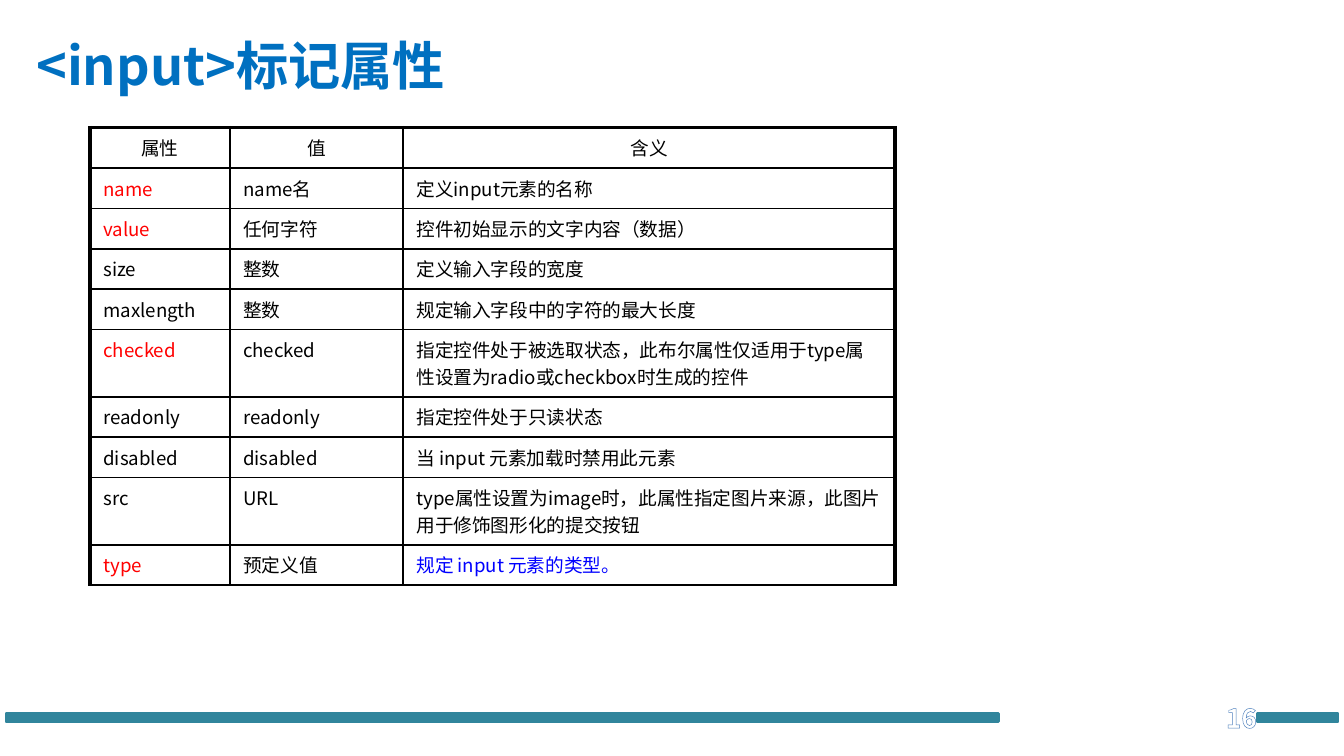
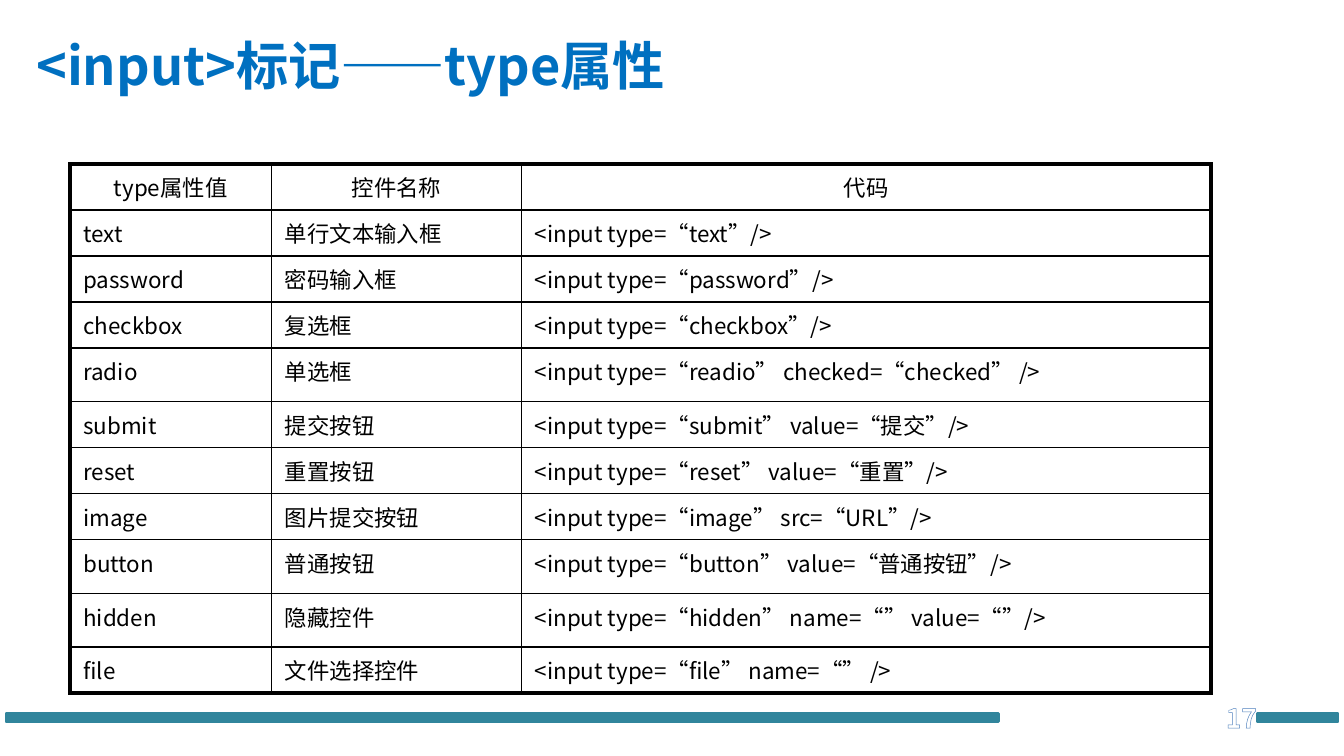
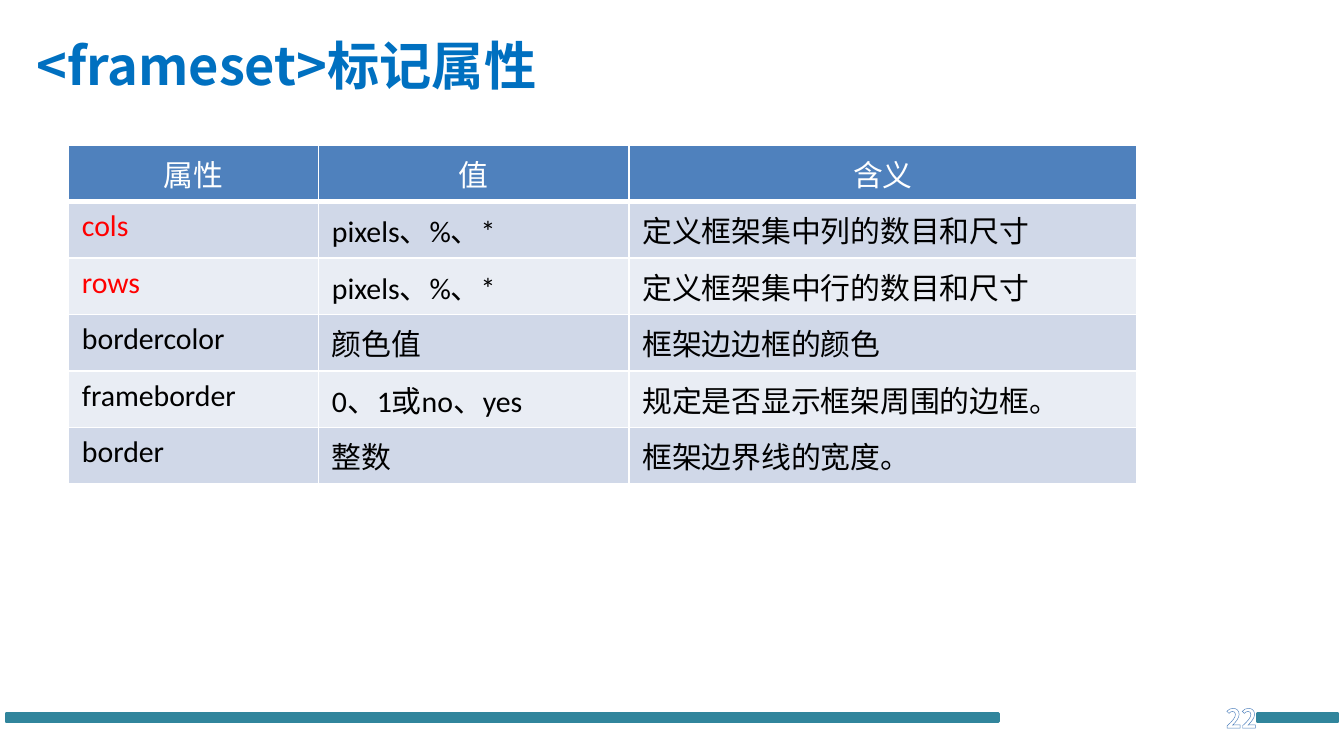
from dataclasses import dataclass, field

import pptx
import pptx.dml.color
import pptx.enum.shapes
import pptx.enum.text
import pptx.oxml
import pptx.oxml.ns
import pptx.util
from lxml import etree

EMU_PER_PX = 4572  # 200 px to the inch
CJK_FONT = "Noto Sans CJK SC"
LATIN_FONT = "Calibri"
TITLE_BLUE, HEADER_BLUE = "0070C0", "4F81BD"
BAND_DARK, BAND_LIGHT = "D0D8E8", "E9EDF4"
TEAL, RED, LINK_BLUE = "31859C", "FF0000", "0000FF"
BLACK, WHITE = "000000", "FFFFFF"
ALIGN = pptx.enum.text.PP_ALIGN
MIDDLE = pptx.enum.text.MSO_ANCHOR.MIDDLE


@dataclass(frozen=True)
class Box:
    left: int
    top: int
    width: int
    height: int

    def emu(self) -> list[int]:
        return [px(n) for n in (self.left, self.top, self.width, self.height)]


@dataclass(frozen=True)
class Edges:
    """Line widths in points of the table's outer sides and of the line under its header."""
    left: float = 2.25
    top: float = 2.25
    right: float = 2.25
    bottom: float = 2.25
    header: float = 1


@dataclass(frozen=True)
class TableSlide:
    title: str
    number: int
    left: int
    top: int
    columns: list[int]
    heights: list[int]
    rows: list[tuple[str, str, str]]
    size: int
    font: str = CJK_FONT
    edges: Edges = Edges()
    line: str = BLACK
    header_color: str = BLACK
    header_fill: str | None = None
    bands: tuple[str | None, str | None] = (None, None)
    accents: dict[tuple[int, int], str] = field(default_factory=dict)


TITLE_BOX = Box(34, 2, 1800, 188)
NUMBER_BOX = Box(1718, 1062, 172, 60)
FOOTER_BARS = [Box(10, 1062, 1476, 12), Box(1872, 1062, 118, 12)]

SLIDES = [
    TableSlide(
        "<input>标记属性", 16, 134, 190, [208, 258, 732],
        [54, 54, 54, 54, 60, 86, 54, 54, 86, 60],
        [
            ("属性", "值", "含义"),
            ("name", "name名", "定义input元素的名称"),
            ("value", "任何字符", "控件初始显示的文字内容（数据）"),
            ("size", "整数", "定义输入字段的宽度"),
            ("maxlength", "整数", "规定输入字段中的字符的最大长度"),
            ("checked", "checked",
             "指定控件处于被选取状态，此布尔属性仅适用于type属性设置为radio或checkbox时生成的控件"),
            ("readonly", "readonly", "指定控件处于只读状态"),
            ("disabled", "disabled", "当 input 元素加载时禁用此元素"),
            ("src", "URL",
             "type属性设置为image时，此属性指定图片来源，此图片用于修饰图形化的提交按钮"),
            ("type", "预定义值", "规定 input 元素的类型。"),
        ],
        size=10,
        edges=Edges(bottom=1),
        accents={(1, 0): RED, (2, 0): RED, (5, 0): RED, (9, 0): RED, (9, 2): LINK_BLUE},
    ),
    TableSlide(
        "<input>标记——type属性", 17, 104, 244, [300, 372, 1026],
        [60, 60, 60, 60, 80, 60, 60, 60, 80, 80, 60],
        [
            ("type属性值", "控件名称", "代码"),
            ("text", "单行文本输入框", "<input type=“text”/>"),
            ("password", "密码输入框", "<input type=“password”/>"),
            ("checkbox", "复选框", "<input type=“checkbox”/>"),
            ("radio", "单选框", "<input type=“readio” checked=“checked” />"),
            ("submit", "提交按钮", "<input type=“submit” value=“提交”/>"),
            ("reset", "重置按钮", "<input type=“reset” value=“重置”/>"),
            ("image", "图片提交按钮", "<input type=“image” src=“URL”/>"),
            ("button", "普通按钮", "<input type=“button” value=“普通按钮”/>"),
            ("hidden", "隐藏控件", "<input type=“hidden” name=“” value=“”/>"),
            ("file", "文件选择控件", "<input type=“file” name=“” />"),
        ],
        size=12,
    ),
    TableSlide(
        "<frameset>标记属性", 22, 102, 216, [372, 462, 756], [74] * 6,
        [
            ("属性", "值", "含义"),
            ("cols", "pixels、%、*", "定义框架集中列的数目和尺寸"),
            ("rows", "pixels、%、*", "定义框架集中行的数目和尺寸"),
            ("bordercolor", "颜色值", "框架边边框的颜色"),
            ("frameborder", "0、1或no、yes", "规定是否显示框架周围的边框。"),
            ("border", "整数", "框架边界线的宽度。"),
        ],
        size=16,
        font=LATIN_FONT,
        edges=Edges(1, 1, 1, 1, header=3),
        line=WHITE,
        header_color=WHITE,
        header_fill=HEADER_BLUE,
        bands=(BAND_DARK, BAND_LIGHT),
        accents={(1, 0): RED, (2, 0): RED},
    ),
]


def px(length: int) -> int:
    return length * EMU_PER_PX


def rgb(color: str) -> pptx.dml.color.RGBColor:
    return pptx.dml.color.RGBColor.from_string(color)


def line_xml(tag: str, color: str, points: float) -> etree._Element:
    return pptx.oxml.parse_xml(
        f'<a:{tag} {pptx.oxml.ns.nsdecls("a")} w="{pptx.util.Pt(points)}">'
        f'<a:solidFill><a:srgbClr val="{color}"/></a:solidFill></a:{tag}>'
    )


def write_text(text_frame, text: str, *, size: int, color: str, font: str = CJK_FONT,
               bold: bool = False, align=ALIGN.LEFT, outline: str | None = None) -> None:
    paragraph = text_frame.paragraphs[0]
    paragraph.alignment = align
    run = paragraph.add_run()
    run.text = text
    run.font.size = pptx.util.Pt(size)
    run.font.bold = bold
    run.font.color.rgb = rgb(color)
    run.font.name = font
    properties = run._r.get_or_add_rPr()
    east_asian = etree.SubElement(properties, pptx.oxml.ns.qn("a:ea"))
    east_asian.set("typeface", CJK_FONT)
    if outline:
        properties.insert(0, line_xml("ln", outline, 0.75))


def add_footer_bars(layout, slide) -> None:
    """Draw the bars on a slide and move them to the layout, so all slides share them."""
    for box in FOOTER_BARS:
        bar = slide.shapes.add_shape(pptx.enum.shapes.MSO_SHAPE.RECTANGLE, *box.emu())
        bar.shadow.inherit = False
        bar.fill.solid()
        bar.fill.fore_color.rgb = rgb(TEAL)
        bar.line.color.rgb = rgb(TEAL)
        bar.line.width = pptx.util.Pt(2)
        layout.shapes.element.append(bar.element)


def add_title(slide, text: str) -> None:
    title = slide.shapes.title
    title.left, title.top, title.width, title.height = TITLE_BOX.emu()
    title.text_frame.auto_size = pptx.enum.text.MSO_AUTO_SIZE.NONE
    title.text_frame.vertical_anchor = MIDDLE
    write_text(title.text_frame, text, size=28, color=TITLE_BLUE, bold=True)


def add_page_number(slide, number: int) -> None:
    text_frame = slide.shapes.add_textbox(*NUMBER_BOX.emu()).text_frame
    text_frame.word_wrap = True
    text_frame.vertical_anchor = MIDDLE
    text_frame.margin_top = 0
    text_frame.margin_bottom = px(48)
    write_text(text_frame, str(number), size=14, color=WHITE, bold=True,
               align=ALIGN.RIGHT, outline=HEADER_BLUE)


def set_borders(cell, row: int, column: int, content: TableSlide) -> None:
    edges = content.edges
    last_row, last_column = len(content.rows) - 1, len(content.columns) - 1
    widths = {
        "lnL": edges.left if column == 0 else 1,
        "lnR": edges.right if column == last_column else 1,
        "lnT": {0: edges.top, 1: edges.header}.get(row, 1),
        "lnB": {0: edges.header, last_row: edges.bottom}.get(row, 1),
    }
    properties = cell._tc.get_or_add_tcPr()
    for tag, points in widths.items():
        properties.append(line_xml(tag, content.line, points))


def set_fill(cell, color: str | None) -> None:
    if color is None:
        cell.fill.background()
    else:
        cell.fill.solid()
        cell.fill.fore_color.rgb = rgb(color)


def add_attribute_table(slide, content: TableSlide) -> None:
    box = Box(content.left, content.top, sum(content.columns), sum(content.heights))
    table = slide.shapes.add_table(
        len(content.rows), len(content.columns), *box.emu()).table
    table.horz_banding = False
    for column, width in zip(table.columns, content.columns):
        column.width = px(width)
    for row, height in zip(table.rows, content.heights):
        row.height = px(height)
    for row, texts in enumerate(content.rows):
        is_header = row == 0
        fill = content.header_fill if is_header else content.bands[(row - 1) % 2]
        color = content.header_color if is_header else BLACK
        for column, text in enumerate(texts):
            cell = table.cell(row, column)
            set_borders(cell, row, column, content)
            set_fill(cell, fill)
            write_text(cell.text_frame, text, size=content.size, font=content.font,
                       color=content.accents.get((row, column), color),
                       align=ALIGN.CENTER if is_header else ALIGN.LEFT)


def main() -> None:
    presentation = pptx.Presentation()
    presentation.slide_width, presentation.slide_height = px(2000), px(1125)
    layout = presentation.slide_layouts.get_by_name("Title Only")
    for index, content in enumerate(SLIDES):
        slide = presentation.slides.add_slide(layout)
        if index == 0:
            add_footer_bars(layout, slide)
        add_title(slide, content.title)
        add_attribute_table(slide, content)
        add_page_number(slide, content.number)
    presentation.save("out.pptx")


if __name__ == "__main__":
    main()
